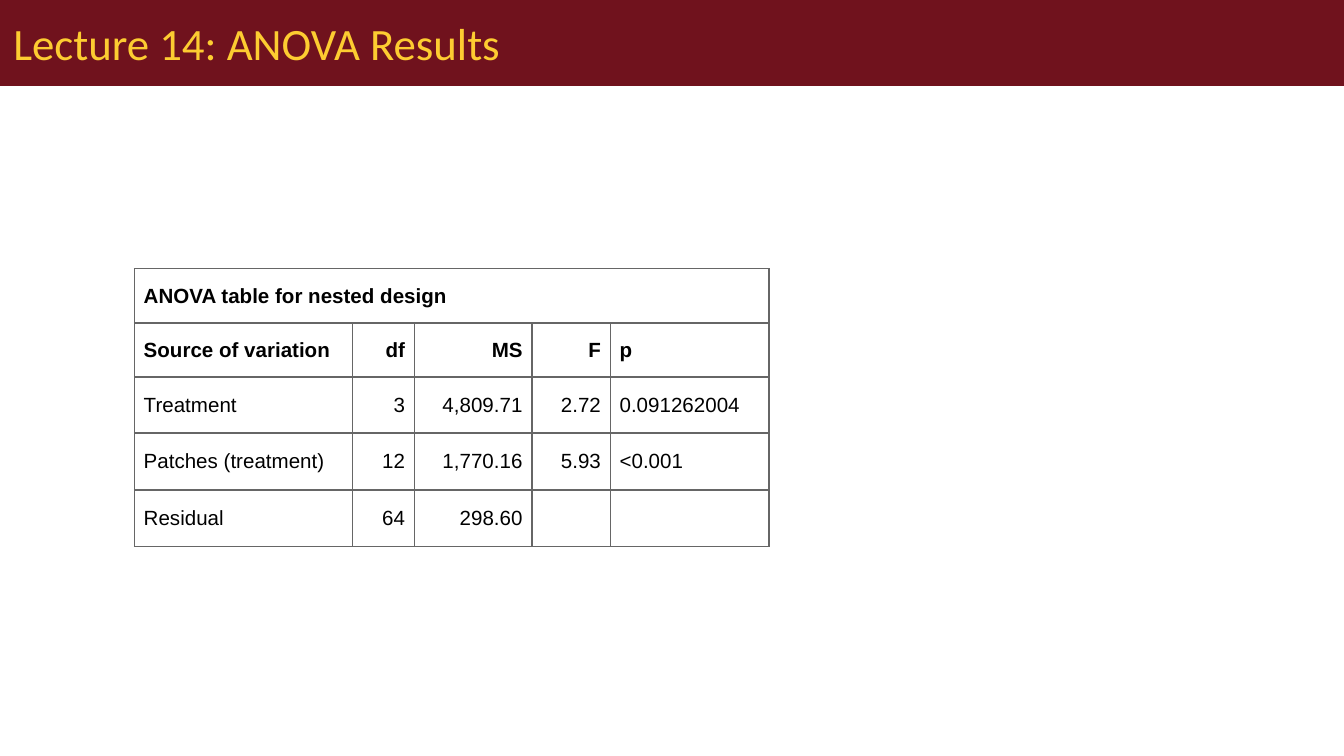
from dataclasses import dataclass

from lxml.etree import SubElement
from pptx import Presentation
from pptx.dml.color import RGBColor
from pptx.enum.text import MSO_ANCHOR, MSO_AUTO_SIZE, PP_ALIGN
from pptx.oxml.ns import qn
from pptx.util import Pt


@dataclass(frozen=True)
class Column:
    width: float
    align: PP_ALIGN = PP_ALIGN.RIGHT


COLUMNS = [
    Column(117, PP_ALIGN.LEFT),
    Column(33),
    Column(63),
    Column(42),
    Column(85, PP_ALIGN.LEFT),
]
ROW_HEIGHTS = [29, 29, 30, 30.5, 30.5]
HEADER_ROWS = 2
ROWS = [
    ["ANOVA table for nested design", "", "", "", ""],
    ["Source of variation", "df", "MS", "F", "p"],
    ["Treatment", "3", "4,809.71", "2.72", "0.091262004"],
    ["Patches (treatment)", "12", "1,770.16", "5.93", "<0.001"],
    ["Residual", "64", "298.60", "", ""],
]


def color(value: str) -> RGBColor:
    return RGBColor.from_string(value)


def write(tf, text: str, *, size: float, font: str, fill: str,
          bold: bool = False, align: PP_ALIGN = PP_ALIGN.LEFT) -> None:
    tf.word_wrap = True
    p = tf.paragraphs[0]
    p.alignment = align
    r = p.add_run()
    r.text = text
    r.font.size, r.font.name, r.font.bold = Pt(size), font, bold
    r.font.color.rgb = color(fill)


def add_borders(cell, line_color: str, width: float) -> None:
    tc_pr = cell._tc.get_or_add_tcPr()
    for side in ("lnL", "lnR", "lnT", "lnB"):
        ln = SubElement(tc_pr, qn(f"a:{side}"), w=str(Pt(width)))
        fill = SubElement(ln, qn("a:solidFill"))
        SubElement(fill, qn("a:srgbClr"), val=line_color)


def add_title(s, text: str, width: int) -> None:
    sp = s.shapes.title
    sp.left, sp.top, sp.width, sp.height = 0, 0, width, Pt(46)
    sp.fill.solid()
    sp.fill.fore_color.rgb = color("70121D")
    tf = sp.text_frame
    tf.auto_size = MSO_AUTO_SIZE.NONE
    tf.vertical_anchor = MSO_ANCHOR.MIDDLE
    write(tf, text, size=24, font="Calibri", fill="FDCC31")


def add_anova_table(s, left: float, top: float) -> None:
    width = sum(c.width for c in COLUMNS)
    table = s.shapes.add_table(len(ROWS), len(COLUMNS), Pt(left), Pt(top),
                               Pt(width), Pt(sum(ROW_HEIGHTS))).table
    table.first_row = table.horz_banding = False
    for col, column in zip(table.columns, COLUMNS):
        col.width = Pt(column.width)
    for row, height in zip(table.rows, ROW_HEIGHTS):
        row.height = Pt(height)

    for i, values in enumerate(ROWS):
        for j, (text, column) in enumerate(zip(values, COLUMNS)):
            cell = table.cell(i, j)
            add_borders(cell, "666666", 0.75)
            cell.fill.background()
            cell.vertical_anchor = MSO_ANCHOR.MIDDLE
            cell.margin_left = cell.margin_right = Pt(5)
            cell.margin_top = cell.margin_bottom = Pt(3)
            if text:
                write(cell.text_frame, text, size=11, font="Arial",
                      fill="000000", bold=i < HEADER_ROWS, align=column.align)

    # The caption spans the whole first row
    table.cell(0, 0).merge(table.cell(0, len(COLUMNS) - 1))


def main() -> None:
    prs = Presentation()
    prs.slide_width, prs.slide_height = Pt(720), Pt(405)
    s = prs.slides.add_slide(prs.slide_layouts[5])  # Title Only

    # Title band
    add_title(s, "Lecture 14: ANOVA Results", prs.slide_width)

    # Results
    add_anova_table(s, 72, 144)

    prs.save("out.pptx")


if __name__ == "__main__":
    main()
